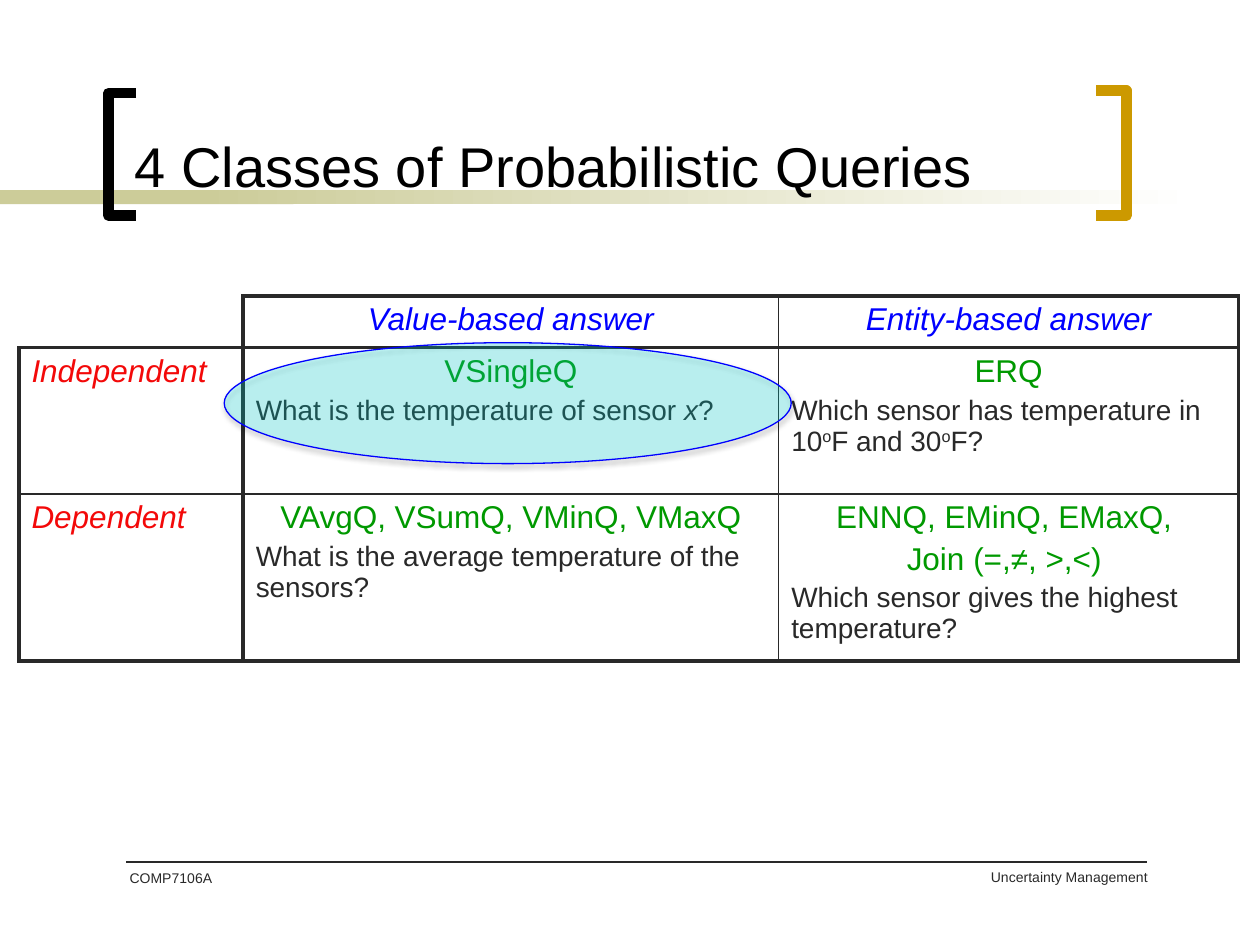
from lxml import etree
from pptx import Presentation
from pptx.dml.color import RGBColor
from pptx.enum.shapes import MSO_CONNECTOR, MSO_SHAPE
from pptx.enum.text import MSO_ANCHOR, PP_ALIGN
from pptx.oxml import parse_xml
from pptx.oxml.ns import nsdecls, qn
from pptx.util import Inches, Pt

BLACK = RGBColor(0x00, 0x00, 0x00)
WHITE = RGBColor(0xFF, 0xFF, 0xFF)
INK = RGBColor(0x29, 0x29, 0x29)
SAND = RGBColor(0xCC, 0xCC, 0x99)
GOLD = RGBColor(0xCC, 0x99, 0x00)
BLUE = RGBColor(0x00, 0x00, 0xFF)
RED = RGBColor(0xF3, 0x09, 0x09)
GREEN = RGBColor(0x00, 0x99, 0x00)
CYAN = RGBColor(0x00, 0xFF, 0xFF)

COLS = [1.78, 4.25, 3.65]
ROWS = [0.41, 1.16, 1.25]
THICK, THIN = 2.25, 1


def column_head(text):
    return [(PP_ALIGN.CENTER, 18, BLUE, [(text, "i")])]


def row_head(text):
    return [(PP_ALIGN.LEFT, 18, RED, [(text, "i")])]


def query_class(names, *question):
    """Centred query names followed by an example question, given as runs."""
    paragraphs = [(PP_ALIGN.CENTER, 18, GREEN, [(name, "")]) for name in names]
    return paragraphs + [(PP_ALIGN.LEFT, 16, INK, question)]


CELLS = [
    [[], column_head("Value-based answer"), column_head("Entity-based answer")],
    [row_head("Independent"),
     query_class(["VSingleQ"], ("What is the temperature of sensor", ""),
                 (" x", "i"), ("?", "")),
     query_class(["ERQ"], ("Which sensor has temperature in 10", ""), ("o", "sup"),
                 ("F and 30", ""), ("o", "sup"), ("F?", ""))],
    [row_head("Dependent"),
     query_class(["VAvgQ, VSumQ, VMinQ, VMaxQ"],
                 ("What is the average temperature of the sensors?", "")),
     query_class(["ENNQ, EMinQ, EMaxQ, ", "Join (=,≠, >,<) "],
                 ("Which sensor gives the highest temperature?", ""))],
]


def add_run(p, text, size, color, style=""):
    r = p.add_run()
    r.text = text
    r.font.name = "Arial"
    r.font.size = Pt(size)
    r.font.color.rgb = color
    r.font.italic = style == "i"
    if style == "sup":
        r.font._element.set("baseline", "30000")


def add_text(s, box, text, size, color, align=PP_ALIGN.LEFT, anchor=MSO_ANCHOR.TOP):
    tf = s.shapes.add_textbox(*map(Inches, box)).text_frame
    tf.word_wrap = True
    tf.vertical_anchor = anchor
    p = tf.paragraphs[0]
    p.alignment = align
    add_run(p, text, size, color)


def add_shape(s, kind, box):
    sp = s.shapes.add_shape(kind, *map(Inches, box))
    sp.shadow.inherit = False
    return sp


def add_title_band(s):
    solid = add_shape(s, MSO_SHAPE.RECTANGLE, (0, 1.51, 2.33, 0.11))
    solid.fill.solid()
    solid.fill.fore_color.rgb = SAND
    fade = add_shape(s, MSO_SHAPE.RECTANGLE, (1.58, 1.51, 7.92, 0.11))
    fade.fill.gradient()
    fade.fill.gradient_angle = 0
    for stop, color, position in zip(fade.fill.gradient_stops, (SAND, WHITE), (0, 1)):
        stop.color.rgb = color
        stop.position = position
    for sp in (solid, fade):
        sp.line.fill.background()


def add_bracket(s, tip, back, top, bottom, color):
    """Square bracket whose open ends lie at x = tip."""
    builder = s.shapes.build_freeform(Inches(tip), Inches(top))
    corners = [(back, top), (back, bottom), (tip, bottom)]
    builder.add_line_segments([(Inches(x), Inches(y)) for x, y in corners], close=False)
    sp = builder.convert_to_shape()
    sp.shadow.inherit = False
    sp.fill.background()
    sp.line.color.rgb = color
    sp.line.width = Pt(6)


def add_rule(s, x1, x2, y):
    line = s.shapes.add_connector(MSO_CONNECTOR.STRAIGHT, *map(Inches, (x1, y, x2, y)))
    line.line.color.rgb = INK
    line.line.width = Pt(1)
    etree.SubElement(line._element.spPr, qn("a:effectLst"))


def set_borders(cell, widths):
    """Border widths in points for left, right, top, bottom; 0 hides one."""
    tc_pr = cell._tc.get_or_add_tcPr()
    for i, (side, width) in enumerate(zip("LRTB", widths)):
        paint = (f'<a:solidFill><a:srgbClr val="{INK}"/></a:solidFill>'
                 if width else "<a:noFill/>")
        tc_pr.insert(i, parse_xml(
            f'<a:ln{side} {nsdecls("a")} w="{Pt(width)}">{paint}</a:ln{side}>'))


def fill_cell(cell, paragraphs):
    tf = cell.text_frame
    for i, (align, size, color, runs) in enumerate(paragraphs):
        p = tf.add_paragraph() if i else tf.paragraphs[0]
        p.alignment = align
        p.space_before = Pt(0.2 * size)
        for text, style in runs:
            add_run(p, text, size, color, style)


def add_query_table(s):
    frame = s.shapes.add_table(len(ROWS), len(COLS), Inches(0.15), Inches(2.35),
                               Inches(sum(COLS)), Inches(sum(ROWS)))
    table = frame.table
    table.first_row = table.horz_banding = False
    for column, width in zip(table.columns, COLS):
        column.width = Inches(width)
    for row, height in zip(table.rows, ROWS):
        row.height = Inches(height)
    edges = [THICK, THICK, THIN, THICK]
    for r, row in enumerate(CELLS):
        for c, paragraphs in enumerate(row):
            cell = table.cell(r, c)
            cell.fill.background()
            fill_cell(cell, paragraphs)
            left, top = (edges[c], edges[r]) if r or c else (0, 0)
            set_borders(cell, (left, edges[c + 1], top, edges[r + 1]))


def add_highlight(s):
    sp = add_shape(s, MSO_SHAPE.OVAL, (1.78, 2.72, 4.5, 0.96))
    sp.fill.solid()
    sp.fill.fore_color.rgb = CYAN
    sp.line.color.rgb = BLUE
    sp.line.width = Pt(0.75)
    sp_pr = sp._element.spPr
    color = sp_pr.find(qn("a:solidFill")).find(qn("a:srgbClr"))
    etree.SubElement(color, qn("a:alpha"), val="21000")
    sp_pr.find(qn("a:effectLst")).append(parse_xml(
        f'<a:outerShdw {nsdecls("a")} blurRad="{Pt(3.1)}" dist="{Pt(1.6)}" '
        'dir="5400000" rotWithShape="0"><a:srgbClr val="000000">'
        '<a:alpha val="38000"/></a:srgbClr></a:outerShdw>'))


def main():
    prs = Presentation()
    prs.slide_width, prs.slide_height = Inches(10), Inches(7.5)
    s = prs.slides.add_slide(prs.slide_layouts[6])
    add_title_band(s)
    add_bracket(s, 1.08, 0.86, 0.74, 1.71, BLACK)
    add_bracket(s, 8.7, 8.94, 0.72, 1.71, GOLD)
    add_text(s, (5.07, 6.84, 4.14, 0.5), "Uncertainty Management", 8, INK, PP_ALIGN.RIGHT)
    add_rule(s, 1, 9.1, 6.84)
    add_text(s, (0.93, 6.85, 1.17, 0.5), "COMP7106A", 8, INK)
    add_text(s, (0.97, 0.65, 7.78, 0.98), "4 Classes of Probabilistic Queries", 32, BLACK,
             anchor=MSO_ANCHOR.BOTTOM)
    add_query_table(s)
    add_highlight(s)
    prs.save("out.pptx")


if __name__ == "__main__":
    main()
